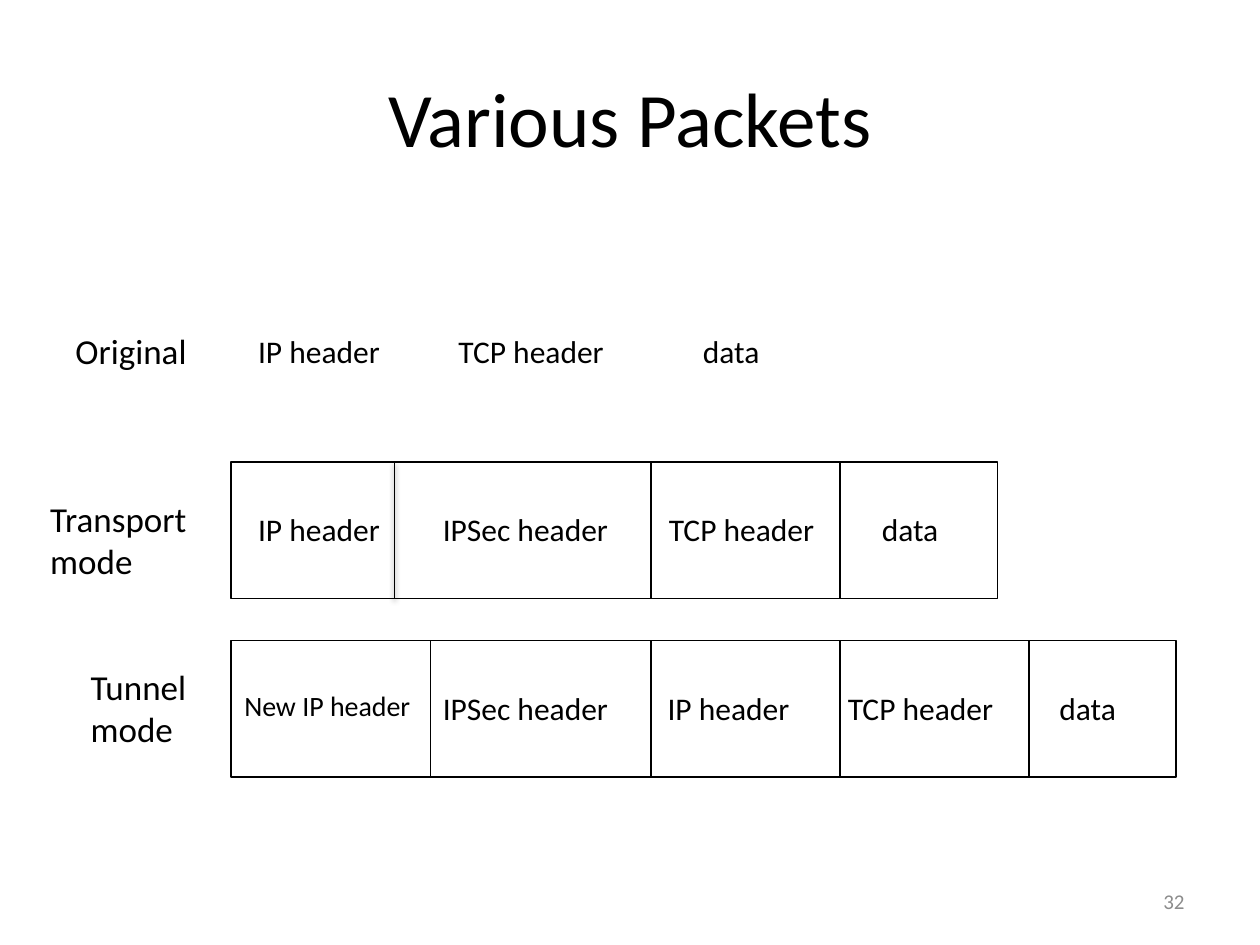
from dataclasses import dataclass
from typing import Optional

from lxml.etree import SubElement
from pptx import Presentation
from pptx.dml.color import RGBColor
from pptx.enum.shapes import MSO_CONNECTOR, MSO_SHAPE
from pptx.enum.text import MSO_ANCHOR, MSO_AUTO_SIZE, PP_ALIGN
from pptx.oxml.ns import qn
from pptx.util import Pt

BLACK = RGBColor(0x00, 0x00, 0x00)
WHITE = RGBColor(0xFF, 0xFF, 0xFF)
GRAY = RGBColor(0x8C, 0x8C, 0x8C)

FONT = "Calibri"
ROW_LEFT = 132
ROW_HEIGHT = 78
FIELD_OFFSET = 24
LABEL_RIGHT = 114.5

FIELD_WIDTHS = {
    "IP header": 85,
    "New IP header": 113.8,
    "IPSec header": 110.2,
    "TCP header": 98.6,
    "data": 47.5,
}


@dataclass(frozen=True)
class Field:
    text: str
    left: float
    size: float = 18
    wrap: bool = False


@dataclass(frozen=True)
class Divider:
    x: float
    width: float = 0.75
    shadow: bool = False


@dataclass(frozen=True)
class PacketRow:
    label: str
    label_top: float
    label_width: float
    top: float
    width: float
    fields: tuple[Field, ...]
    dividers: tuple[Divider, ...]
    line_color: RGBColor = BLACK
    border: float = 0.75


ROWS = (
    PacketRow(
        "Original", 185, 78.5, 162, 348,
        (Field("IP header", 140.4), Field("TCP header", 254.9), Field("data", 394.6)),
        (Divider(246),),
        WHITE, 3,
    ),
    PacketRow(
        "Transport\nmode", 280.8, 92.9, 264, 438,
        (Field("IP header", 140.4), Field("IPSec header", 246),
         Field("TCP header", 375.1), Field("data", 496.8)),
        (Divider(372), Divider(480), Divider(225.4, 1, True)),
    ),
    PacketRow(
        "Tunnel\nmode", 376.6, 69.8, 366, 540,
        (Field("New IP header", 132.5, 16, True), Field("IPSec header", 246),
         Field("IP header", 374.4), Field("TCP header", 477.4), Field("data", 598.3)),
        (Divider(246), Divider(372), Divider(480), Divider(588)),
    ),
)


def add_text(slide, text: str, left: float, top: float, width: float, height: float,
             size: float, color: RGBColor = BLACK, wrap: bool = False,
             align: Optional[PP_ALIGN] = None, anchor: MSO_ANCHOR = MSO_ANCHOR.TOP,
             grow: bool = True) -> None:
    box = slide.shapes.add_textbox(Pt(left), Pt(top), Pt(width), Pt(height))
    frame = box.text_frame
    frame.text = text
    frame.word_wrap = wrap
    frame.vertical_anchor = anchor
    frame.auto_size = MSO_AUTO_SIZE.SHAPE_TO_FIT_TEXT if grow else MSO_AUTO_SIZE.NONE
    for paragraph in frame.paragraphs:
        paragraph.alignment = align
        paragraph.font.name = FONT
        paragraph.font.size = Pt(size)
        paragraph.font.color.rgb = color


def add_divider(slide, divider: Divider, top: float, color: RGBColor) -> None:
    line = slide.shapes.add_connector(
        MSO_CONNECTOR.STRAIGHT,
        Pt(divider.x), Pt(top), Pt(divider.x), Pt(top + ROW_HEIGHT))
    line.line.color.rgb = color
    line.line.width = Pt(divider.width)
    effects = SubElement(line._element.spPr, qn("a:effectLst"))
    if divider.shadow:
        shadow = SubElement(effects, qn("a:outerShdw"), blurRad=str(Pt(3.1)),
                            dist=str(Pt(1.6)), dir="5400000", rotWithShape="0")
        shade = SubElement(shadow, qn("a:srgbClr"), val=str(BLACK))
        SubElement(shade, qn("a:alpha"), val="38000")


def add_packet_row(slide, row: PacketRow) -> None:
    """Draw a packet's frame, dividers, field names and row label."""
    packet = slide.shapes.add_shape(
        MSO_SHAPE.RECTANGLE, Pt(ROW_LEFT), Pt(row.top), Pt(row.width), Pt(ROW_HEIGHT))
    packet.shadow.inherit = False
    packet.fill.solid()
    packet.fill.fore_color.rgb = WHITE
    packet.line.color.rgb = row.line_color
    packet.line.width = Pt(row.border)

    for divider in row.dividers:
        add_divider(slide, divider, row.top, row.line_color)
    for field in row.fields:
        add_text(slide, field.text, field.left, row.top + FIELD_OFFSET,
                 FIELD_WIDTHS[field.text], 1.2 * field.size + 7.2, field.size,
                 wrap=field.wrap)

    label_lines = row.label.count("\n") + 1
    add_text(slide, row.label, LABEL_RIGHT - row.label_width, row.label_top,
             row.label_width, 24 * label_lines + 7.2, 20)


def main() -> None:
    deck = Presentation()
    deck.slide_width, deck.slide_height = Pt(720), Pt(540)
    slide = deck.slides.add_slide(deck.slide_layouts[6])

    add_text(slide, "Various Packets", 36, 21.6, 648, 90, 44, wrap=True,
             align=PP_ALIGN.CENTER, anchor=MSO_ANCHOR.MIDDLE, grow=False)
    for row in ROWS:
        add_packet_row(slide, row)
    add_text(slide, "32", 516, 500.5, 168, 28.75, 12, GRAY, wrap=True,
             align=PP_ALIGN.RIGHT, anchor=MSO_ANCHOR.MIDDLE, grow=False)

    deck.save("out.pptx")


if __name__ == "__main__":
    main()
